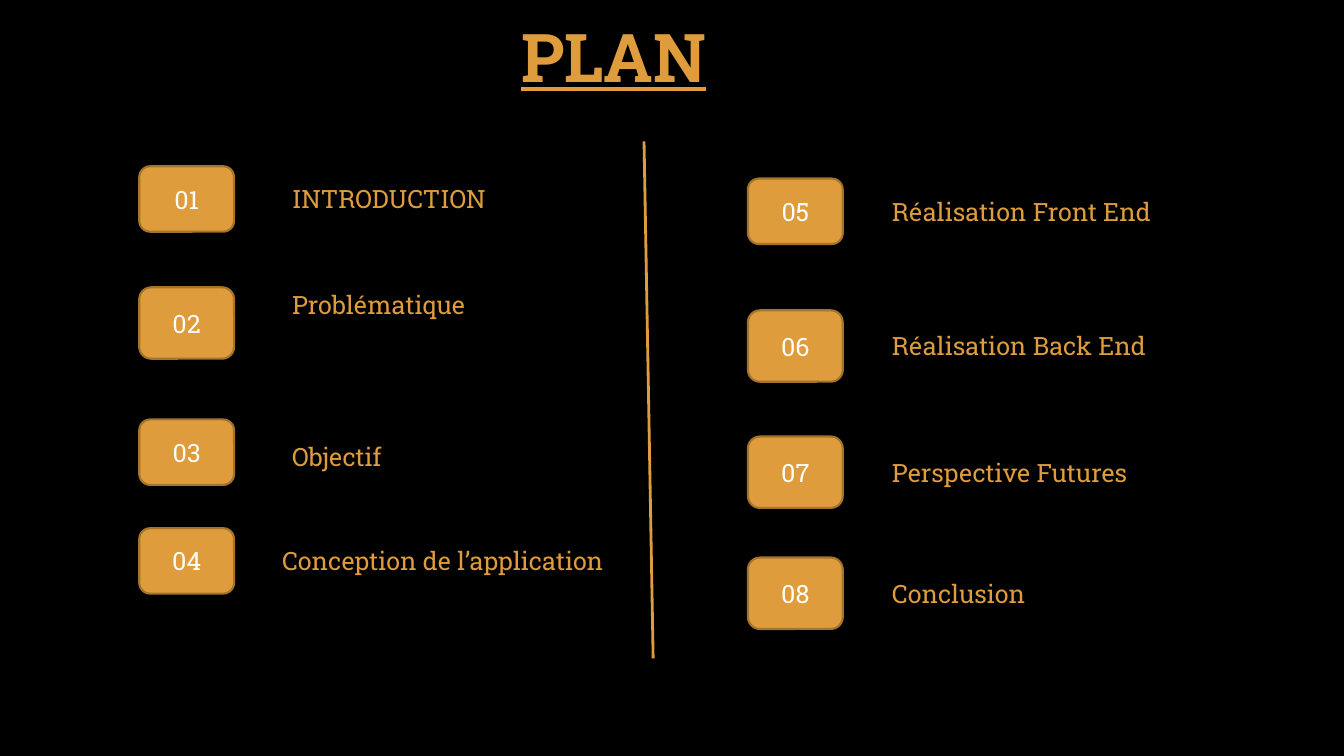
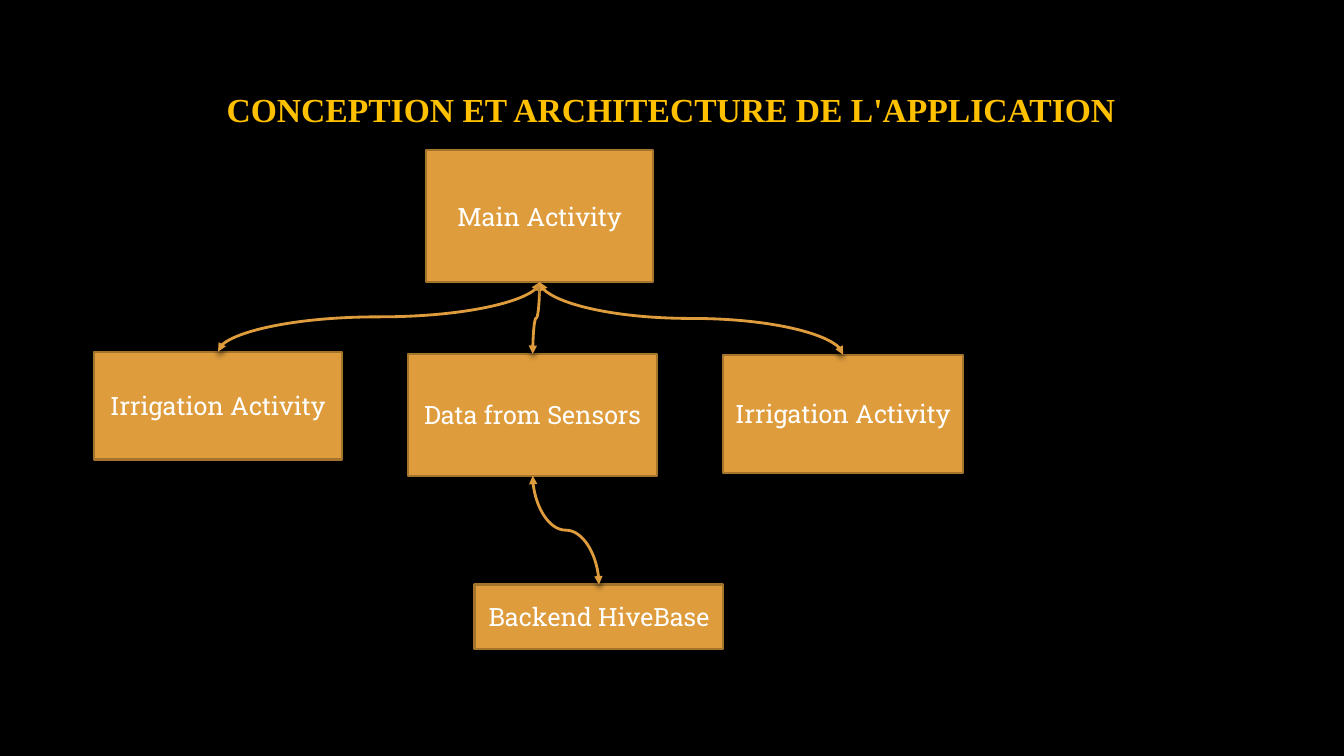
import lxml.etree
import pptx
import pptx.dml.color
import pptx.enum.shapes
import pptx.enum.text
import pptx.oxml.ns
import pptx.util

Cm = pptx.util.Cm
Pt = pptx.util.Pt
qn = pptx.oxml.ns.qn
SHAPE = pptx.enum.shapes.MSO_SHAPE
CONNECTOR = pptx.enum.shapes.MSO_CONNECTOR
ALIGN = pptx.enum.text.PP_ALIGN
ANCHOR = pptx.enum.text.MSO_ANCHOR
AUTO_SIZE = pptx.enum.text.MSO_AUTO_SIZE

BLACK = "000000"
WHITE = "FFFFFF"
AMBER = "DE9C3C"
BRONZE = "A4732C"
GOLD = "FFC000"
SLAB = "Roboto Slab"
SERIF = "Times New Roman"
TITLE_ONLY = 5
TOP, BOTTOM = 0, 2

LEFT_TOPICS = [
    ("01", "INTRODUCTION", 0, 1.65, 3.6, 0),
    ("02", "Problématique", 3.05, 1.8, 3.6, -0.47),
    ("03", "Objectif", 6.38, 1.65, 3.6, 0.12),
    ("04", "Conception de l’application", 9.12, 1.65, 3.35, 0),
]
RIGHT_TOPICS = [
    ("05", "Réalisation Front End", 0, 1.65, 3.38, 0),
    ("06", "Réalisation Back End", 3.32, 1.8, 3.38, 0),
    ("07", "Perspective Futures", 6.5, 1.8, 3.38, 0),
    ("08", "Conclusion", 9.55, 1.8, 3.38, 0),
]
MODULES = {
    "main": ("Main Activity", 8.38, 0, 5.72, 3.33),
    "irrigation": ("Irrigation Activity", 0, 5.08, 6.27, 2.72),
    "control": ("Irrigation Activity", 15.85, 5.16, 6.07, 2.97),
    "sensors": ("Data from Sensors", 7.93, 5.14, 6.27, 3.07),
    "backend": ("Backend HiveBase", 9.6, 10.95, 6.27, 1.63),
}
MODULE_LINKS = [
    ("main", "irrigation"),
    ("main", "sensors"),
    ("main", "control"),
    ("sensors", "backend"),
]


def color(hex_code):
    return pptx.dml.color.RGBColor.from_string(hex_code)


def write(frame, text, ink, size=18, font=SLAB, align=ALIGN.LEFT, bold=False, underline=False):
    paragraph = frame.paragraphs[0]
    paragraph.alignment = align
    run = paragraph.add_run()
    run.text = text
    run.font.name = font
    run.font.size = Pt(size)
    run.font.bold = bold
    run.font.underline = underline
    run.font.color.rgb = color(ink)
    return paragraph


def add_title(slide, box, text, ink, anchor, spacing, indent=0.25, **style):
    title = slide.shapes.title
    title.left, title.top, title.width, title.height = map(Cm, box)
    frame = title.text_frame
    frame.auto_size = AUTO_SIZE.NONE
    frame.word_wrap = True
    frame.vertical_anchor = anchor
    frame.margin_left = Cm(indent)
    write(frame, text, ink, bold=True, **style).line_spacing = spacing


def add_card(slide, outline, box, text):
    card = slide.shapes.add_shape(outline, *map(Cm, box))
    card.shadow.inherit = False
    card.fill.solid()
    card.fill.fore_color.rgb = color(AMBER)
    card.line.color.rgb = color(BRONZE)
    card.line.width = Pt(1.5)
    card.text_frame.word_wrap = True
    card.text_frame.vertical_anchor = ANCHOR.MIDDLE
    write(card.text_frame, text, WHITE, align=ALIGN.CENTER)
    return card


def add_label(slide, box, text):
    label = slide.shapes.add_textbox(*map(Cm, box))
    label.text_frame.word_wrap = True
    write(label.text_frame, text, AMBER)


def add_line(slide, kind, start, end):
    line = slide.shapes.add_connector(kind, *map(Cm, start + end))
    line.line.color.rgb = color(AMBER)
    line.line.width = Pt(2)
    effects = lxml.etree.SubElement(line._element.spPr, qn("a:effectLst"))
    shadow = lxml.etree.SubElement(
        effects, qn("a:outerShdw"), blurRad=str(Pt(4)), dist=str(Pt(3)), dir="5400000", rotWithShape="0"
    )
    tint = lxml.etree.SubElement(shadow, qn("a:srgbClr"), val=BLACK)
    lxml.etree.SubElement(tint, qn("a:alpha"), val="54000")
    return line


def add_module_link(slide, parent, child):
    link = add_line(slide, CONNECTOR.CURVE, (0, 0), (1, 1))
    link.begin_connect(parent, BOTTOM)
    link.end_connect(child, TOP)
    across = link.end_x - link.begin_x
    down = link.end_y - link.begin_y
    center_x = (link.begin_x + link.end_x) // 2
    center_y = (link.begin_y + link.end_y) // 2
    link.left, link.top = center_x - down // 2, center_y - abs(across) // 2
    link.width, link.height = down, abs(across)
    frame = link._element.spPr.find(qn("a:xfrm"))
    frame.set("rot", "16200000" if across > 0 else "5400000")
    frame.set("flipH", "1" if across > 0 else "0")
    frame.set("flipV", "0")
    stroke = link._element.spPr.find(qn("a:ln"))
    for tip in ("a:headEnd", "a:tailEnd"):
        lxml.etree.SubElement(stroke, qn(tip), type="triangle")


def add_topic_column(slide, left, top, topics):
    label_height = 1.02
    for number, topic, offset, height, label_offset, drift in topics:
        badge_top = top + offset
        add_card(slide, SHAPE.ROUNDED_RECTANGLE, (left, badge_top, 2.39, height), number)
        label_top = badge_top + (height - label_height) / 2 + drift
        add_label(slide, (left + label_offset, label_top, 11.4, label_height), topic)


def add_module_tree(slide, left, top):
    cards = {
        key: add_card(slide, SHAPE.RECTANGLE, (left + x, top + y, width, height), text)
        for key, (text, x, y, width, height) in MODULES.items()
    }
    for parent, child in MODULE_LINKS:
        add_module_link(slide, cards[parent], cards[child])


def build_plan(slide):
    add_title(slide, (9.07, 0.25, 15.21, 2.31), "PLAN", AMBER, ANCHOR.TOP, 1.0,
              indent=4.06, size=48, underline=True)
    add_topic_column(slide, 3.51, 4.19, LEFT_TOPICS)
    add_topic_column(slide, 18.85, 4.5, RIGHT_TOPICS)
    add_line(slide, CONNECTOR.STRAIGHT, (16.23, 3.56), (16.46, 16.59))


def build_architecture(slide):
    add_title(slide, (2.54, 1.7, 28.75, 2.24), "CONCEPTION ET ARCHITECTURE DE L'APPLICATION",
              GOLD, ANCHOR.MIDDLE, 0.9, size=24, font=SERIF, align=ALIGN.CENTER)
    add_module_tree(slide, 2.36, 3.78)


def main():
    deck = pptx.Presentation()
    deck.slide_width, deck.slide_height = Cm(33.87), Cm(19.05)
    backdrop = deck.slide_master.background.fill
    backdrop.solid()
    backdrop.fore_color.rgb = color(BLACK)
    for build in (build_plan, build_architecture):
        build(deck.slides.add_slide(deck.slide_layouts[TITLE_ONLY]))
    deck.save("out.pptx")


if __name__ == "__main__":
    main()
